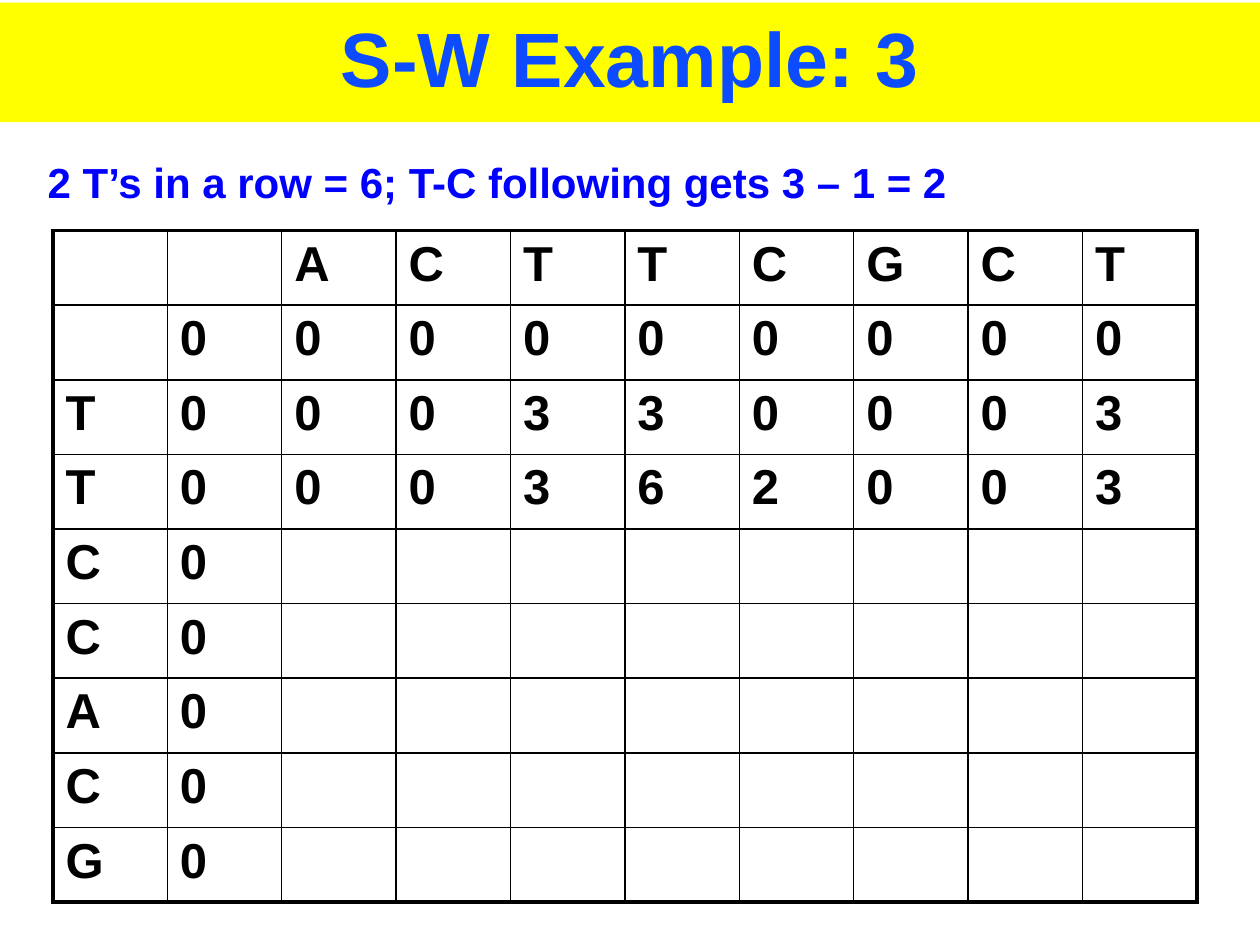
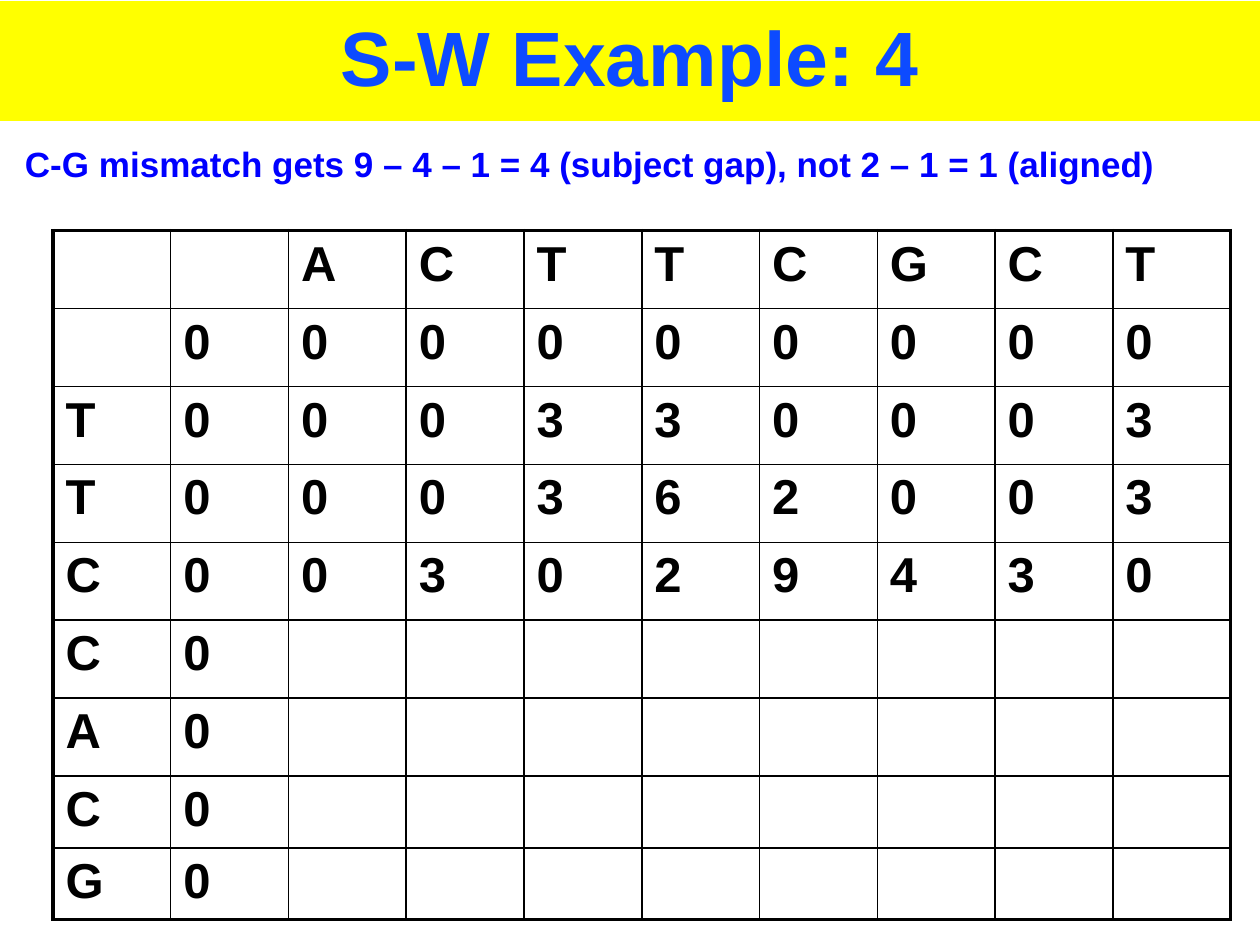
import lxml.etree
import pptx
import pptx.dml.color
import pptx.enum.shapes
import pptx.enum.text
import pptx.oxml.ns
import pptx.util

Inches = pptx.util.Inches
Pt = pptx.util.Pt

FONT = "Arial"
COLOURS = {
    "band": "FFFF00",
    "title": "0D4BFF",
    "caption": "0000FF",
    "grid": "000000",
}
INNER_LINE, OUTER_LINE = 1, 2.25
SUBJECT = "ACTTCGCT"
QUERY = "TTCCACG"
FILLED_ROWS = ["00330003", "00362003", "03029430"]


def colour(name):
    return pptx.dml.color.RGBColor.from_string(COLOURS[name])


def write(text_frame, text, size, colour_name):
    text_frame.text = text
    para = text_frame.paragraphs[0]
    for span in para.runs:
        span.font.name = FONT
        span.font.size = Pt(size)
        span.font.bold = True
        span.font.color.rgb = colour(colour_name)
    return para


def add_title_band(page, box, text):
    band = page.shapes.add_shape(
        pptx.enum.shapes.MSO_SHAPE.RECTANGLE, *map(Inches, box))
    band.shadow.inherit = False
    band.fill.solid()
    band.fill.fore_color.rgb = colour("band")
    band.line.fill.background()
    band.text_frame.vertical_anchor = pptx.enum.text.MSO_ANCHOR.MIDDLE
    para = write(band.text_frame, text, 44, "title")
    para.alignment = pptx.enum.text.PP_ALIGN.CENTER
    para.line_spacing = 0.9


def add_caption(page, box, text, size):
    caption = page.shapes.add_textbox(*map(Inches, box))
    caption.text_frame.word_wrap = True
    write(caption.text_frame, text, size, "caption")


def draw_border(cell, side, width):
    properties = cell._tc.get_or_add_tcPr()
    line = lxml.etree.SubElement(
        properties, pptx.oxml.ns.qn(f"a:ln{side}"), w=str(Pt(width)))
    fill = lxml.etree.SubElement(line, pptx.oxml.ns.qn("a:solidFill"))
    lxml.etree.SubElement(
        fill, pptx.oxml.ns.qn("a:srgbClr"), val=COLOURS["grid"])


def score_rows(filled_count):
    rows = ["  " + SUBJECT, " " + "0" * (len(SUBJECT) + 1)]
    for index, letter in enumerate(QUERY):
        scores = FILLED_ROWS[index] if index < filled_count else ""
        rows.append((letter + "0" + scores).ljust(len(SUBJECT) + 2))
    return rows


def add_score_table(page, box, filled_count, short_rows=0, short_height=0.57):
    rows = score_rows(filled_count)
    row_count, column_count = len(rows), len(rows[0])
    left, top, width, height = box
    table = page.shapes.add_table(
        row_count, column_count, *map(Inches, box)).table
    table.first_row = False
    table.horz_banding = False
    for column in table.columns:
        column.width = Inches(width / column_count)
    tall_rows = row_count - short_rows
    tall_height = (height - short_rows * short_height) / tall_rows
    for row_index, letters in enumerate(rows):
        is_tall = row_index < tall_rows
        table.rows[row_index].height = Inches(
            tall_height if is_tall else short_height)
        for column_index, letter in enumerate(letters):
            cell = table.cell(row_index, column_index)
            outer_sides = {
                "L": column_index == 0,
                "R": column_index == column_count - 1,
                "T": row_index == 0,
                "B": row_index == row_count - 1,
            }
            for side, is_outer in outer_sides.items():
                draw_border(cell, side, OUTER_LINE if is_outer else INNER_LINE)
            cell.fill.background()
            write(cell.text_frame, letter.strip(), 28, "grid")


def add_example_page(deck, number, band_top, caption, caption_box,
                     caption_size, table_box, filled_count, short_rows=0):
    page = deck.slides.add_slide(deck.slide_layouts[6])
    add_title_band(page, (0, band_top, 10, 0.95), f"S-W Example: {number}")
    add_score_table(page, table_box, filled_count, short_rows)
    add_caption(page, caption_box, caption, caption_size)


def main():
    deck = pptx.Presentation()
    deck.slide_width = Inches(10)
    deck.slide_height = Inches(7.5)
    add_example_page(
        deck, 3, 0.02,
        "2 T’s in a row = 6; T-C following gets 3 – 1 = 2",
        (0.28, 1.19, 8.15, 0.5), 24,
        (0.42, 1.83, 9.08, 5.33), filled_count=2)
    add_example_page(
        deck, 4, 0.01,
        "C-G mismatch gets 9 – 4 – 1 = 4 (subject gap), not 2 – 1 = 1 (aligned)",
        (0.1, 1.08, 9.9, 0.44), 20,
        (0.42, 1.83, 9.35, 5.47), filled_count=3, short_rows=2)
    deck.save("out.pptx")


if __name__ == "__main__":
    main()
